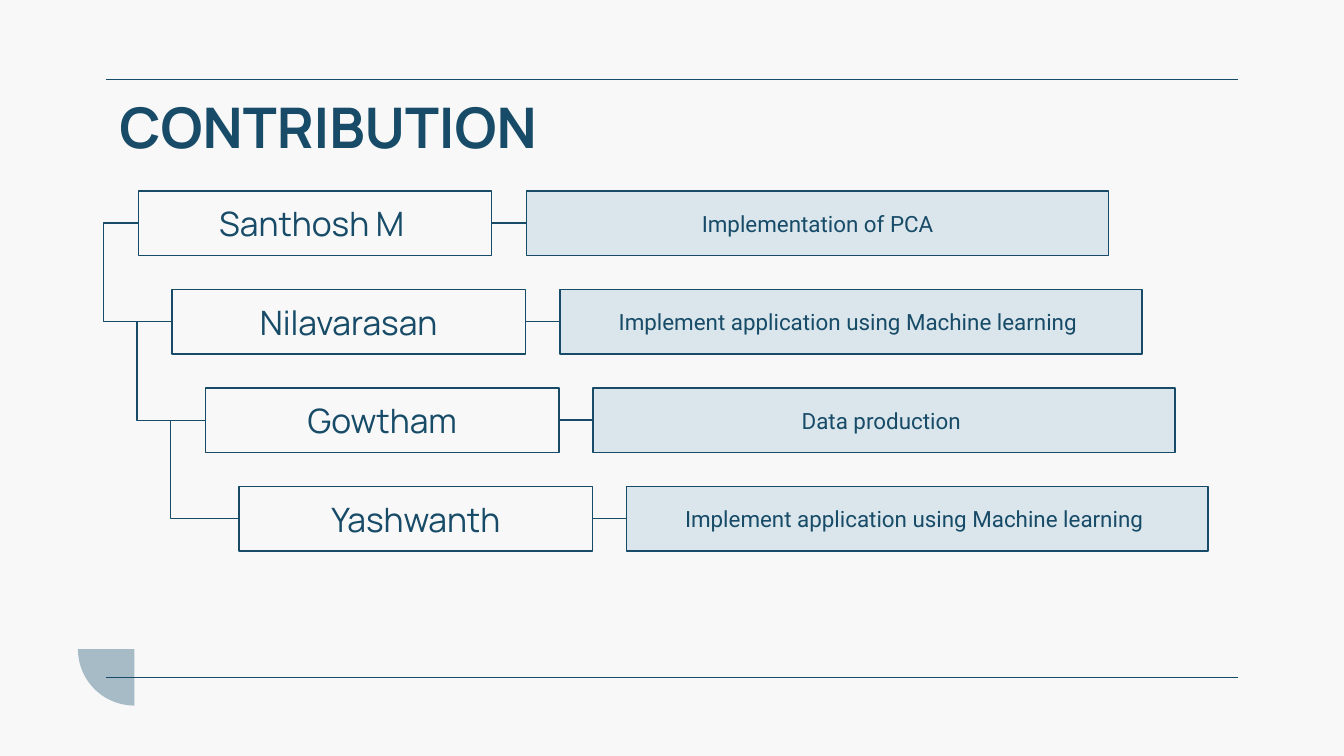
from dataclasses import dataclass
from math import cos, pi, sin

from lxml.etree import SubElement
from pptx import Presentation
from pptx.dml.color import RGBColor
from pptx.enum.shapes import MSO_CONNECTOR as Connector, MSO_SHAPE as Preset
from pptx.enum.text import MSO_ANCHOR as Anchor, PP_ALIGN as Align
from pptx.oxml.ns import qn
from pptx.util import Inches, Pt


@dataclass(frozen=True)
class Theme:
    background: RGBColor = RGBColor.from_string("F8F8F8")
    ink: RGBColor = RGBColor.from_string("174B67")
    panel: RGBColor = RGBColor.from_string("DAE6EC")
    accent: RGBColor = RGBColor.from_string("A7BBC7")
    heading_font: str = "Manrope"
    body_font: str = "Roboto"
    title_size: int = 30
    name_size: int = 18
    task_size: int = 12
    line_width: float = 0.75


THEME = Theme()
WIDTH = 10
HEIGHT = WIDTH * 9 / 16
MARGIN = 0.79
TOP_RULE, BOTTOM_RULE = 0.59, 5.04
FIRST_ROW, LAST_ROW, ROW_HEIGHT = 1.42, 3.62, 0.48
NAME_LEFT, NAME_WIDTH, NAME_INDENT = 1.03, 2.63, 0.25
TASK_LEFT, TASK_LAST_LEFT, TASK_WIDTH = 3.92, 4.66, 4.33
ELBOW_REACH = -1.04
LEFT_SITE, RIGHT_SITE = 1, 3

CONTRIBUTIONS = [
    ("Santhosh M ", "Implementation of PCA"),
    ("Nilavarasan", "Implement application using Machine learning "),
    ("Gowtham", "Data production "),
    ("Yashwanth", "Implement application using Machine learning "),
]


def write(shape, text, font_name, size, align, anchor, bold=False):
    frame = shape.text_frame
    frame.word_wrap = True
    frame.vertical_anchor = anchor
    frame.margin_left = frame.margin_right = Inches(0.1)
    frame.margin_top = frame.margin_bottom = Inches(0.1)
    paragraph = frame.paragraphs[0]
    paragraph.alignment = align
    run = paragraph.add_run()
    run.text = text
    run.font.name = font_name
    run.font.size = Pt(size)
    run.font.bold = bold
    run.font.color.rgb = THEME.ink


def add_title(slide, text):
    box = slide.shapes.add_textbox(
        Inches(MARGIN), Inches(TOP_RULE), Inches(WIDTH - 2 * MARGIN), Inches(0.57)
    )
    write(box, text, THEME.heading_font, THEME.title_size, Align.LEFT, Anchor.TOP, True)


def add_box(slide, left, top, width, text, font_name, size, fill=None):
    box = slide.shapes.add_shape(
        Preset.RECTANGLE, Inches(left), Inches(top), Inches(width), Inches(ROW_HEIGHT)
    )
    box.shadow.inherit = False
    if fill is None:
        box.fill.background()
    else:
        box.fill.solid()
        box.fill.fore_color.rgb = fill
    box.line.color.rgb = THEME.ink
    box.line.width = Pt(THEME.line_width)
    write(box, text, font_name, size, Align.CENTER, Anchor.MIDDLE)
    return box


def add_line(slide, kind=Connector.STRAIGHT, start=(0, 0), end=(0, 0)):
    points = [Inches(value) for value in (*start, *end)]
    line = slide.shapes.add_connector(kind, *points)
    line.line.color.rgb = THEME.ink
    line.line.width = Pt(THEME.line_width)
    SubElement(line._element.spPr, qn("a:effectLst"))
    return line


def add_rule(slide, top):
    add_line(slide, start=(MARGIN, top), end=(WIDTH - MARGIN, top))


def link_across(slide, name_box, task_box):
    line = add_line(slide)
    line.begin_connect(name_box, RIGHT_SITE)
    line.end_connect(task_box, LEFT_SITE)


def link_down(slide, upper, lower):
    elbow = add_line(slide, Connector.ELBOW)
    elbow.begin_connect(upper, LEFT_SITE)
    elbow.end_connect(lower, LEFT_SITE)
    geometry = elbow._element.spPr.find(qn("a:prstGeom"))
    adjustments = geometry.find(qn("a:avLst"))
    if adjustments is None:
        adjustments = SubElement(geometry, qn("a:avLst"))
    reach = round(ELBOW_REACH * 100000)
    SubElement(adjustments, qn("a:gd"), name="adj1", fmla=f"val {reach}")


def add_quarter_disc(slide, corner_x, corner_y, radius, steps=48):
    angles = [pi - pi / 2 * step / steps for step in range(steps + 1)]
    arc = [
        (Inches(corner_x + radius * cos(angle)), Inches(corner_y + radius * sin(angle)))
        for angle in angles
    ]
    builder = slide.shapes.build_freeform(Inches(corner_x), Inches(corner_y))
    builder.add_line_segments(arc, close=True)
    disc = builder.convert_to_shape()
    disc.shadow.inherit = False
    disc.fill.solid()
    disc.fill.fore_color.rgb = THEME.accent
    disc.line.fill.background()


def add_contributions(slide):
    gaps = len(CONTRIBUTIONS) - 1
    row_step = (LAST_ROW - FIRST_ROW) / gaps
    task_indent = (TASK_LAST_LEFT - TASK_LEFT) / gaps
    previous = None
    for row, (name, task) in enumerate(CONTRIBUTIONS):
        top = FIRST_ROW + row * row_step
        name_box = add_box(
            slide, NAME_LEFT + row * NAME_INDENT, top, NAME_WIDTH,
            name, THEME.heading_font, THEME.name_size,
        )
        task_box = add_box(
            slide, TASK_LEFT + row * task_indent, top, TASK_WIDTH,
            task, THEME.body_font, THEME.task_size, THEME.panel,
        )
        link_across(slide, name_box, task_box)
        if previous is not None:
            link_down(slide, previous, name_box)
        previous = name_box


def main():
    presentation = Presentation()
    presentation.slide_width = Inches(WIDTH)
    presentation.slide_height = Inches(HEIGHT)
    slide = presentation.slides.add_slide(presentation.slide_layouts[6])
    slide.background.fill.solid()
    slide.background.fill.fore_color.rgb = THEME.background
    add_quarter_disc(slide, 1, 4.83, 0.42)
    add_rule(slide, TOP_RULE)
    add_rule(slide, BOTTOM_RULE)
    add_title(slide, "CONTRIBUTION")
    add_contributions(slide)
    presentation.save("out.pptx")


if __name__ == "__main__":
    main()
